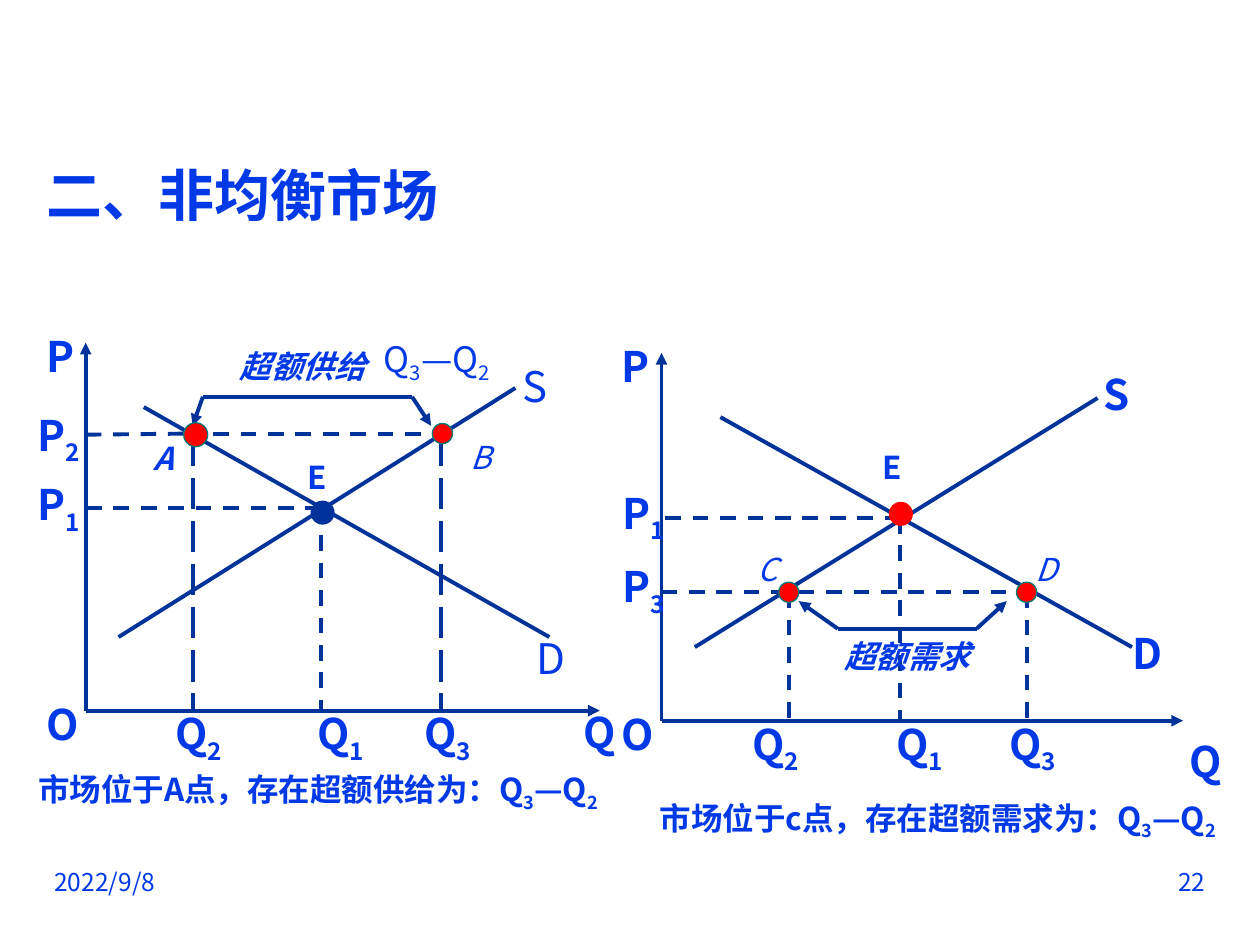
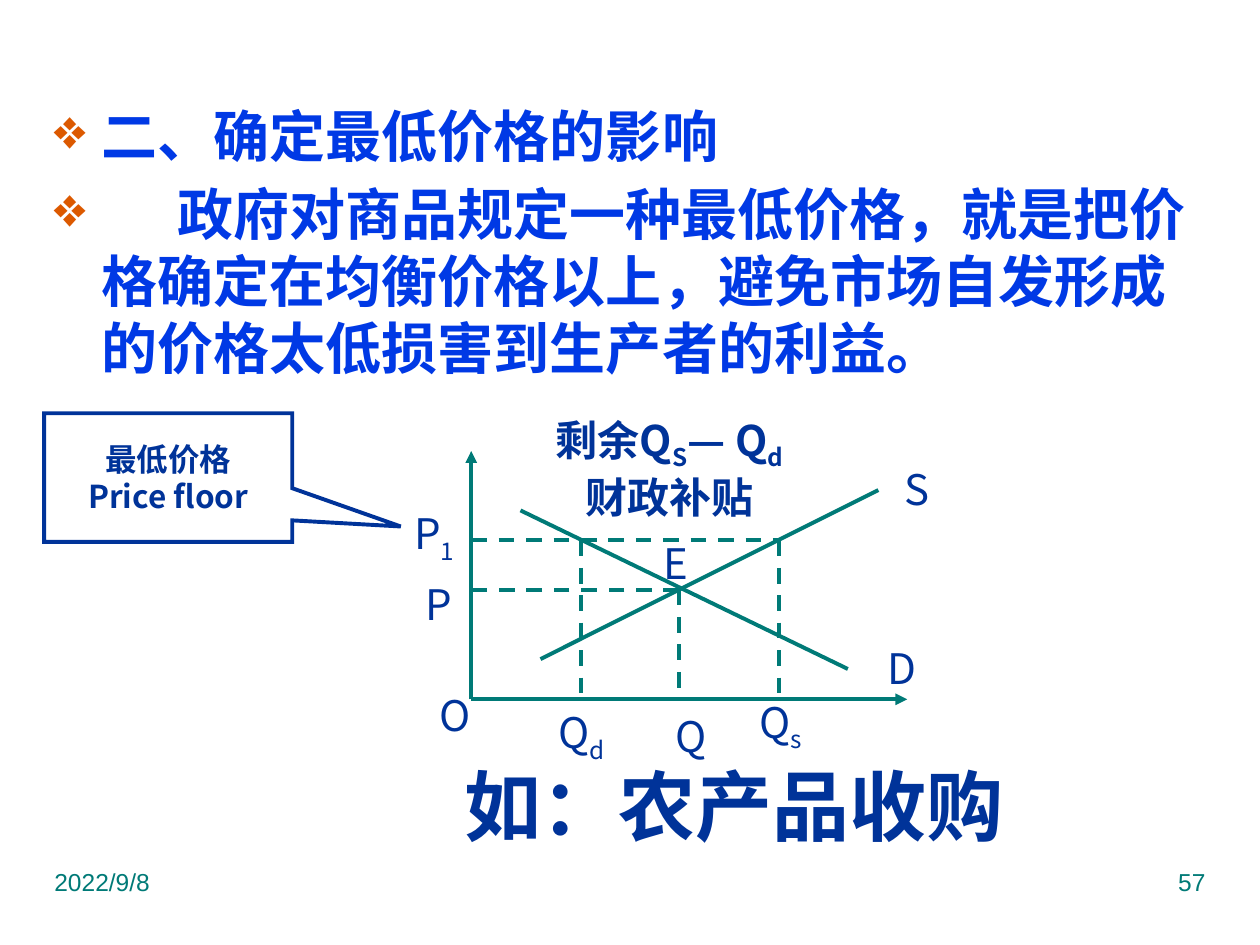
from dataclasses import dataclass

from pptx import Presentation
from pptx.dml.color import RGBColor
from pptx.enum.dml import MSO_LINE
from pptx.enum.shapes import MSO_CONNECTOR, MSO_SHAPE
from pptx.enum.text import MSO_ANCHOR, PP_ALIGN
from pptx.oxml.ns import qn
from pptx.util import Inches, Pt

LEFT, CENTER, RIGHT = PP_ALIGN.LEFT, PP_ALIGN.CENTER, PP_ALIGN.RIGHT
TOP, MIDDLE = MSO_ANCHOR.TOP, MSO_ANCHOR.MIDDLE
DASH, LONG_DASH = MSO_LINE.DASH, MSO_LINE.LONG_DASH
OVAL, CALLOUT = MSO_SHAPE.OVAL, MSO_SHAPE.RECTANGULAR_CALLOUT


@dataclass(frozen=True)
class Theme:
    blue: str = "0039E5"
    navy: str = "003399"
    teal: str = "007A77"
    red: str = "FF0000"
    orange: str = "DC5900"
    cjk: str = "Noto Sans CJK SC"
    latin: str = "Arial"
    footer: int = 14
    note: int = 18
    formula: int = 20
    label: int = 24
    body: int = 32
    title: int = 44
    stroke: float = 2.25
    hairline: float = 0.75


T = Theme()
W, H = 10, 7.5


@dataclass(frozen=True)
class Graph:
    """Axes on a slide; points are percentages of the axis lengths."""
    slide: object
    left: float
    base: float
    width: float
    height: float
    color: str

    def at(self, x, y):
        return self.left + self.width * x / 100, self.base - self.height * y / 100

    def around(self, x, y, w, h):
        cx, cy = self.at(x, y)
        return cx - w / 2, cy - h / 2, w, h

    def line(self, start, end, dash=None, arrow=False):
        ends = [Inches(v) for v in (*self.at(*start), *self.at(*end))]
        c = self.slide.shapes.add_connector(MSO_CONNECTOR.STRAIGHT, *ends)
        stroke(c, self.color, T.stroke)
        if dash:
            c.line.dash_style = dash
        if arrow:
            add_xml(c.line._get_or_add_ln(), "a:tailEnd", type="triangle")
        add_xml(c._element.spPr, "a:effectLst")

    def axes(self):
        self.line((0, 0), (100, 0), arrow=True)
        self.line((0, 0), (0, 100), arrow=True)

    def bracket(self, x1, x2, y, tip1, tip2, tip_y):
        self.line((x1, y), (x2, y))
        self.line((x1, y), (tip1, tip_y), arrow=True)
        self.line((x2, y), (tip2, tip_y), arrow=True)

    def dot(self, x, y, size=0.16, fill=T.red, edge=T.teal, width=T.hairline):
        sp = add_shape(self.slide, OVAL, self.around(x, y, size, size))
        sp.fill.solid()
        sp.fill.fore_color.rgb = RGBColor.from_string(fill)
        stroke(sp, edge, width)

    def label(self, text, x, y, **fmt):
        """Label whose box starts at the given point."""
        add_text(self.slide, text, (*self.at(x, y), 0.66, 0.5),
                 **{"size": T.label, "bold": True, **fmt})

    def centered(self, text, x, y, width=0.5, height=0.4, **fmt):
        """Label centred on the given point."""
        add_text(self.slide, text, self.around(x, y, width, height),
                 align=CENTER, anchor=MIDDLE, **fmt)

    def oval_label(self, text, x, y, w, h):
        """Label inside an unpainted oval."""
        sp = add_shape(self.slide, OVAL, self.around(x, y, w, h))
        sp.line.fill.background()
        write(sp, text, size=T.label, color=T.navy, align=CENTER, anchor=MIDDLE, wrap=False)


def add_xml(parent, tag, **attrs):
    child = parent.makeelement(qn(tag), attrs)
    parent.append(child)
    return child


def add_shape(slide, kind, box):
    sp = slide.shapes.add_shape(kind, *[Inches(v) for v in box])
    sp.shadow.inherit = False
    sp.fill.background()
    return sp


def stroke(sp, color, width):
    sp.line.color.rgb = RGBColor.from_string(color)
    sp.line.width = Pt(width)


def add_run(p, text, size, color, font, bold, italic, sub=False):
    r = p.add_run()
    r.text = text
    f = r.font
    f.size, f.bold, f.italic, f.name = Pt(size), bold, italic, font
    f.color.rgb = RGBColor.from_string(color)
    add_xml(r._r.get_or_add_rPr(), "a:ea", typeface=font)
    if sub:
        r._r.rPr.set("baseline", "-25000")


def write(sp, text, size=T.note, color=T.blue, font=T.cjk, bold=False, italic=False,
          align=LEFT, anchor=TOP, wrap=True, spacing=None):
    """Fill a shape with text; an underscore makes the next character a subscript."""
    tf = sp.text_frame
    tf.word_wrap, tf.vertical_anchor = wrap, anchor
    for i, line in enumerate(text.split("\n")):
        p = tf.paragraphs[0] if i == 0 else tf.add_paragraph()
        p.alignment = align
        if spacing:
            p.line_spacing = Pt(spacing)
        head, *rest = line.split("_")
        style = (size, color, font, bold, italic)
        add_run(p, head, *style)
        for part in rest:
            add_run(p, part[0], *style, sub=True)
            if part[1:]:
                add_run(p, part[1:], *style)
    return tf


def add_text(slide, text, box, **fmt):
    sp = slide.shapes.add_textbox(*[Inches(v) for v in box])
    return write(sp, text, **fmt)


def add_bullet(p, tab=None):
    pPr = p._p.get_or_add_pPr()
    pPr.set("marL", str(Inches(0.38)))
    pPr.set("indent", str(-Inches(0.38)))
    add_xml(add_xml(pPr, "a:buClr"), "a:srgbClr", val=T.orange)
    add_xml(pPr, "a:buSzPct", val="100000")
    add_xml(pPr, "a:buChar", char="❖")
    if tab:
        add_xml(add_xml(pPr, "a:tabLst"), "a:tab", pos=str(Inches(tab)), algn="l")


def add_footer(slide, number, **fmt):
    margin, top, w, h = W / 30, H * 0.911, W / 4, H * 0.07
    add_text(slide, "2022/9/8", (margin, top, w, h), size=T.footer, **fmt)
    add_text(slide, number, (W - margin - w, top, w, h),
             size=T.footer, align=RIGHT, **fmt)


def market(slide, left, base, width):
    """Axes, crossing curves and equilibrium guides shared by both markets."""
    g = Graph(slide, left, base, width, 2.92, T.navy)
    g.axes()
    g.line((6.4, 20), (83.6, 87.7))
    g.line((11.3, 82.5), (90.2, 20))
    g.line((45.8, 55.1), (0, 55.1), DASH)
    g.line((45.8, 55.1), (45.8, 0), DASH)
    for text, x, y in (("P", -10, 105.1), ("O", -10, 5.1),
                       ("Q_1", 42.6, 2.4), ("Q_2", 15.1, 2.4)):
        g.label(text, x, y)
    return g


def excess_supply(slide):
    g = market(slide, 0.68, 5.64, 4.08)
    g.line((0, 75), (20.8, 75.3), DASH)
    g.line((24.8, 75.3), (67.4, 75.3), DASH)
    for x in (20.8, 69.1):
        g.line((x, 75), (x, 0), LONG_DASH)
    g.bracket(22.8, 63.5, 85.3, 20.8, 67.2, 77.4)
    g.dot(21.4, 75, size=0.19)
    g.dot(69.4, 75.3)
    g.dot(46.1, 53.8, fill=T.navy, edge=T.navy, width=T.stroke)
    for text, x, y in (("P_1", -11.8, 64.7), ("P_2", -11.8, 83.6),
                       ("Q_3", 63.5, 2.4), ("Q", 94.4, 2.7)):
        g.label(text, x, y)
    g.label("S", 82.6, 96.9, bold=False)
    g.label("D", 85.3, 22.9, bold=False)
    g.centered("超额供给", 42.2, 93.8, width=1.42, bold=True, italic=True)
    g.centered("Q_3—Q_2", 68.3, 95, width=1.3, size=T.formula)
    g.centered("A", 15.1, 68.7, bold=True, italic=True)
    g.centered("B", 76.8, 69, italic=True)
    g.centered("E", 45, 63.5, bold=True)
    g.centered("市场位于A点，存在超额供给为：Q_3—Q_2", 45.2, -22.1, width=5, bold=True)


def excess_demand(slide):
    g = market(slide, 5.25, 5.72, 4.14)
    g.line((0, 34.9), (22.5, 34.9), DASH)
    g.line((26.3, 35.1), (68.1, 35.1), DASH)
    for x in (24.4, 70):
        g.line((x, 34.9), (x, 0), DASH)
    g.bracket(33.8, 60.4, 25, 26.3, 66.2, 32.5)
    for x in (24.4, 70):
        g.dot(x, 34.9)
    g.dot(45.9, 56.2, edge=T.red, width=T.stroke)
    for text, x, y in (("P_1", -9.9, 65.1), ("P_3", -9.9, 45.2), ("Q_3", 64.3, 2.4),
                       ("Q", 98.8, -2.4), ("S", 82.4, 97.3), ("D", 87.9, 27.1)):
        g.label(text, x, y)
    g.centered("超额需求", 47.1, 17.6, width=1.42, bold=True, italic=True)
    for text, x in (("C", 20.4), ("D", 73.8)):
        g.centered(text, x, 41.3, italic=True)
    g.centered("E", 44.3, 69, bold=True)
    g.centered("市场位于c点，存在超额需求为：Q_3—Q_2", 53, -27, width=5, bold=True)


def price_floor(slide):
    g = Graph(slide, 3.74, 5.55, 3.46, 1.97, T.teal)
    g.axes()
    g.line((15.9, 16.2), (93.4, 84.3))
    g.line((11.3, 76.1), (86.4, 12.2))
    g.line((0, 64), (70.5, 64), DASH)
    g.line((47.7, 44.2), (0, 44.2), DASH)
    for x, y in ((25.1, 64), (70.5, 64), (47.7, 44.2)):
        g.line((x, y), (x, 0), DASH)
    for text, x, y, w, h in (
            ("E", 47, 55.1, 0.25, 0.17), ("P_1", -8.5, 65.7, 0.25, 0.25),
            ("P", -7.4, 38.3, 0.33, 0.33), ("O", -3.6, -6.3, 0.25, 0.25),
            ("Q_d", 25.3, -14.5, 0.25, 0.25), ("Q_s", 71, -10.4, 0.25, 0.25),
            ("Q", 50.4, -14.7, 0.33, 0.42), ("D", 98.7, 12.9, 0.33, 0.33),
            ("S", 102.3, 84.8, 0.42, 0.5)):
        g.oval_label(text, x, y, w, h)
    g.centered("剩余Q_S— Q_d\n财政补贴", 45.5, 93.1, width=2.4, height=0.87,
               size=T.label, color=T.navy, bold=True)


def add_callout(slide, text, box):
    sp = add_shape(slide, CALLOUT, box)
    sp.adjustments[0], sp.adjustments[1] = 0.937, 0.381
    stroke(sp, T.navy, T.stroke)
    add_xml(sp.line._get_or_add_ln(), "a:miter", lim="800000")
    write(sp, text, color=T.navy, bold=True, align=CENTER, anchor=MIDDLE, spacing=21)


def main():
    prs = Presentation()
    prs.slide_width, prs.slide_height = Inches(W), Inches(H)
    blank = prs.slide_layouts[6]

    # Markets out of equilibrium
    s = prs.slides.add_slide(blank)
    add_footer(s, "22")
    add_text(s, "二、非均衡市场", (0.27, 1.23, 9, 0.87), size=T.body, bold=True, spacing=38.3)
    excess_supply(s)
    excess_demand(s)

    # Effects of a price floor
    s = prs.slides.add_slide(blank)
    add_footer(s, "57", font=T.latin, color=T.teal)
    tf = add_text(s, "二、确定最低价格的影响\n\t政府对商品规定一种最低价格，就是把价格确定在均衡价格以上，"
                  "避免市场自发形成的价格太低损害到生产者的利益。",
                  (0.33, 0.76, 9.34, 2.44), size=T.body, bold=True, spacing=38.3)
    tf.paragraphs[1].space_before = Pt(6.4)
    add_bullet(tf.paragraphs[0])
    add_bullet(tf.paragraphs[1], tab=0.98)
    price_floor(s)
    add_callout(s, "最低价格\nPrice floor", (0.35, 3.28, 1.97, 1.02))
    add_text(s, "如：农产品收购", (3.5, 5.95, 4.65, 0.87), size=T.title, color=T.navy,
             bold=True, align=CENTER, anchor=MIDDLE)

    prs.save("out.pptx")


if __name__ == "__main__":
    main()
